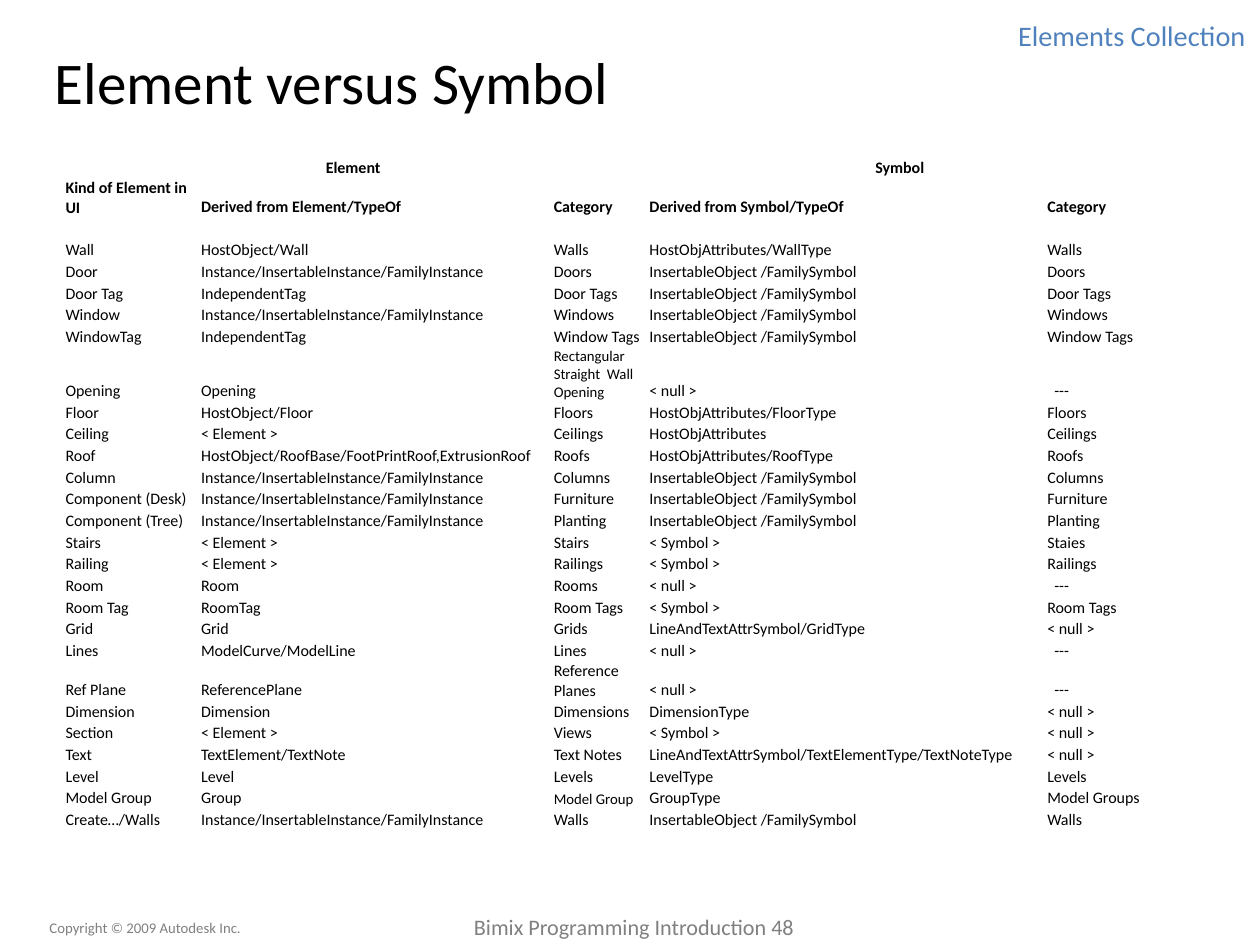
from lxml import etree
from pptx import Presentation
from pptx.dml.color import RGBColor
from pptx.enum import text
from pptx.oxml import ns
from pptx.util import Inches, Pt

BLACK = RGBColor(0x00, 0x00, 0x00)
GRAY = RGBColor(0x80, 0x80, 0x80)
BLUE = RGBColor(0x4F, 0x81, 0xBD)
LEFT, CENTER, RIGHT = text.PP_ALIGN.LEFT, text.PP_ALIGN.CENTER, text.PP_ALIGN.RIGHT
PLAIN_STYLE = "{2D5ABB26-0587-4C30-8999-92F81FD0307C}"

COL_WIDTHS = (1.53, 3.98, 1, 0.08, 4.49, 1.18)
TEXT_COLS = (0, 1, 2, 4, 5)
FIRST_ROW = 3
SMALL = {"Rectangular Straight  Wall Opening", "Model Group"}
FAMILY = "Instance/InsertableInstance/FamilyInstance"
FAMILY_SYMBOL = "InsertableObject /FamilySymbol"
ELEMENT, SYMBOL, NULL, DASH = "< Element >", "< Symbol >", "< null >", "---"

HEADINGS = ("Kind of Element in UI", "Derived from Element/TypeOf", "Category",
            "Derived from Symbol/TypeOf", "Category")
ROWS = (
    ("Wall", "HostObject/Wall", "Walls", "HostObjAttributes/WallType", "Walls"),
    ("Door", FAMILY, "Doors", FAMILY_SYMBOL, "Doors"),
    ("Door Tag", "IndependentTag", "Door Tags", FAMILY_SYMBOL, "Door Tags"),
    ("Window", FAMILY, "Windows", FAMILY_SYMBOL, "Windows"),
    ("WindowTag", "IndependentTag", "Window Tags", FAMILY_SYMBOL, "Window Tags"),
    ("Opening", "Opening", "Rectangular Straight  Wall Opening", NULL, DASH),
    ("Floor", "HostObject/Floor", "Floors", "HostObjAttributes/FloorType", "Floors"),
    ("Ceiling", ELEMENT, "Ceilings", "HostObjAttributes", "Ceilings"),
    ("Roof", "HostObject/RoofBase/FootPrintRoof,ExtrusionRoof", "Roofs",
     "HostObjAttributes/RoofType", "Roofs"),
    ("Column", FAMILY, "Columns", FAMILY_SYMBOL, "Columns"),
    ("Component (Desk)", FAMILY, "Furniture", FAMILY_SYMBOL, "Furniture"),
    ("Component (Tree)", FAMILY, "Planting", FAMILY_SYMBOL, "Planting"),
    ("Stairs", ELEMENT, "Stairs", SYMBOL, "Staies"),
    ("Railing", ELEMENT, "Railings", SYMBOL, "Railings"),
    ("Room", "Room", "Rooms", NULL, DASH),
    ("Room Tag", "RoomTag", "Room Tags", SYMBOL, "Room Tags"),
    ("Grid", "Grid", "Grids", "LineAndTextAttrSymbol/GridType", NULL),
    ("Lines", "ModelCurve/ModelLine", "Lines", NULL, DASH),
    ("Ref Plane", "ReferencePlane", "Reference Planes", NULL, DASH),
    ("Dimension", "Dimension", "Dimensions", "DimensionType", NULL),
    ("Section", ELEMENT, "Views", SYMBOL, NULL),
    ("Text", "TextElement/TextNote", "Text Notes",
     "LineAndTextAttrSymbol/TextElementType/TextNoteType", NULL),
    ("Level", "Level", "Levels", "LevelType", "Levels"),
    ("Model Group", "Group", "Model Group", "GroupType", "Model Groups"),
    ("Create…/Walls", FAMILY, "Walls", FAMILY_SYMBOL, "Walls"),
)


def write(tf, content, size=13, color=BLACK, bold=False, align=LEFT):
    p = tf.paragraphs[0]
    p.alignment = align
    r = p.add_run()
    r.text = content
    r.font.name = "Calibri"
    r.font.size = Pt(size)
    r.font.bold = bold
    r.font.color.rgb = color


def set_margins(tf, horizontal, vertical):
    tf.margin_left = tf.margin_right = Inches(horizontal)
    tf.margin_top = tf.margin_bottom = Inches(vertical)


def add_title(s, content):
    sp = s.shapes.title
    sp.left, sp.top, sp.width, sp.height = map(Inches, (0.48, 0.45, 12.95, 0.92))
    tf = sp.text_frame
    set_margins(tf, 0.14, 0.07)
    tf.vertical_anchor = text.MSO_ANCHOR.MIDDLE
    write(tf, content, size=48)


def add_label(s, box, content, margins=(0.1, 0.05), **fmt):
    tf = s.shapes.add_textbox(*map(Inches, box)).text_frame
    tf.word_wrap = True
    set_margins(tf, *margins)
    write(tf, content, **fmt)


def prepare_cell(cell):
    cell.fill.background()
    cell.vertical_anchor = text.MSO_ANCHOR.BOTTOM
    cell.margin_left = cell.margin_right = cell.margin_top = Inches(0.01)
    cell.margin_bottom = 0
    p = cell.text_frame.paragraphs[0]
    etree.SubElement(p._p, ns.qn("a:endParaRPr"), sz="1200")


def add_element_table(s):
    frame = s.shapes.add_table(
        FIRST_ROW + len(ROWS), len(COL_WIDTHS),
        Inches(0.73), Inches(1.76), Inches(sum(COL_WIDTHS)), Inches(6.85))
    table = frame.table
    table.first_row = table.horz_banding = False
    table._tbl.tblPr.find(ns.qn("a:tableStyleId")).text = PLAIN_STYLE
    for column, width in zip(table.columns, COL_WIDTHS):
        column.width = Inches(width)
    for cell in table.iter_cells():
        prepare_cell(cell)

    for first, last, heading in ((0, 2, "Element"), (4, 5, "Symbol")):
        cell = table.cell(0, first)
        cell.merge(table.cell(0, last))
        write(cell.text_frame, heading, bold=True, align=CENTER)
    for col, heading in zip(TEXT_COLS, HEADINGS):
        write(table.cell(1, col).text_frame, heading, bold=True)
    for row, values in enumerate(ROWS, FIRST_ROW):
        for col, value in zip(TEXT_COLS, values):
            cell = table.cell(row, col)
            if value == DASH:
                cell.margin_left = Inches(0.09)
            write(cell.text_frame, value,
                  size=12 if col == 2 and value in SMALL else 13)


def main():
    prs = Presentation()
    prs.slide_width, prs.slide_height = Inches(14.22), Inches(10.67)
    s = prs.slides.add_slide(prs.slide_layouts[5])
    add_label(s, (5, 10.26, 4.31, 0.41), "Bimix Programming Introduction 48",
              size=18, color=GRAY, align=CENTER)
    add_label(s, (0.46, 10.33, 2.68, 0.31), "Copyright © 2009 Autodesk Inc.",
              size=12, color=GRAY)
    add_title(s, "Element versus Symbol")
    add_label(s, (10.92, 0.21, 3.14, 0.39), "Elements Collection",
              margins=(0, 0), size=23, color=BLUE, align=RIGHT)
    add_element_table(s)
    prs.save("out.pptx")


if __name__ == "__main__":
    main()
